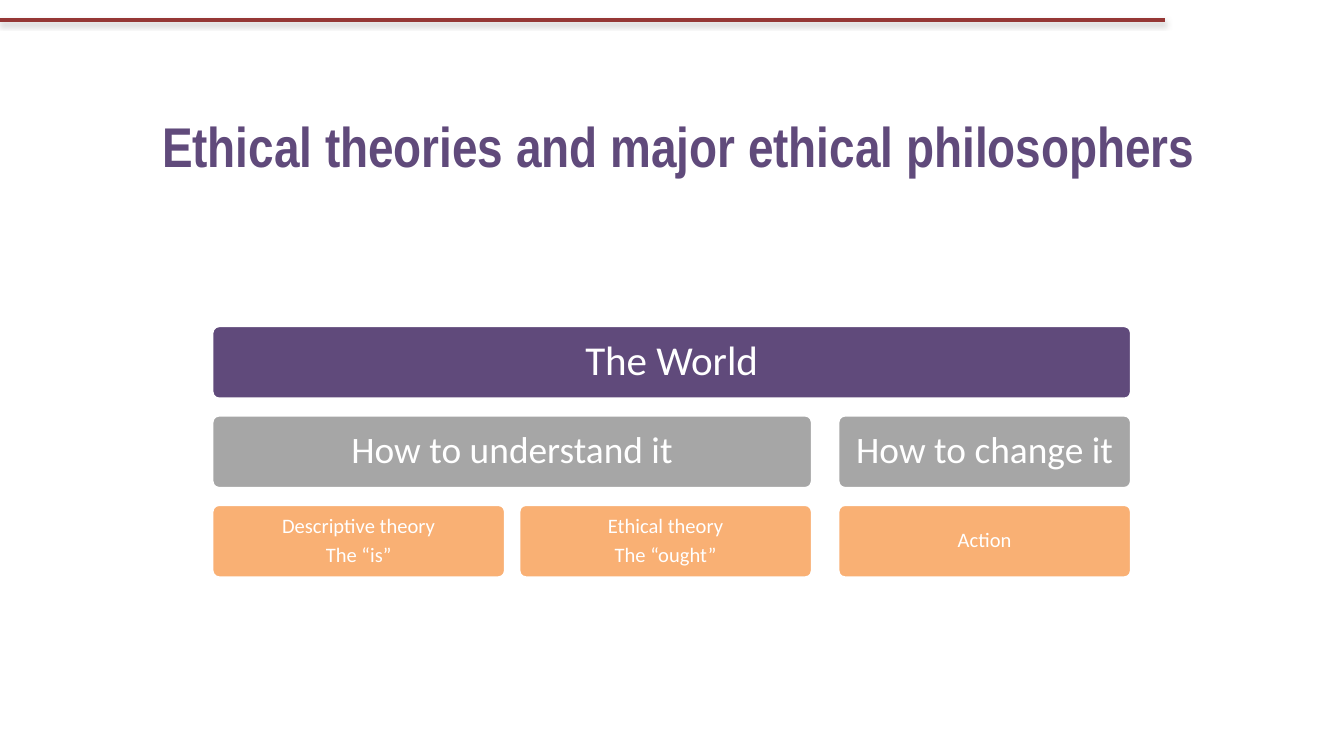
from dataclasses import dataclass

from lxml.etree import SubElement
from pptx import Presentation
from pptx.dml.color import RGBColor as RGB
from pptx.enum.shapes import MSO_CONNECTOR as Link, MSO_SHAPE as Shape
from pptx.enum.text import MSO_ANCHOR as Anchor, MSO_AUTO_SIZE as Fit, PP_ALIGN as Align
from pptx.oxml.ns import qn
from pptx.util import Cm, Pt


@dataclass(frozen=True)
class Tier:
    fill: RGB
    size: int
    pad: float


@dataclass(frozen=True)
class Theme:
    plum: RGB = RGB(0x60, 0x4A, 0x7B)
    grey: RGB = RGB(0xA6, 0xA6, 0xA6)
    peach: RGB = RGB(0xF9, 0xB0, 0x74)
    brick: RGB = RGB(0x95, 0x37, 0x35)
    white: RGB = RGB(0xFF, 0xFF, 0xFF)
    head: str = "Arial Narrow"
    body: str = "Calibri"
    title: int = 30
    big: int = 22
    mid: int = 20
    small: int = 11


THEME = Theme()
TIERS = (
    Tier(THEME.plum, THEME.big, 0.23),
    Tier(THEME.grey, THEME.mid, 0.2),
    Tier(THEME.peach, THEME.small, 0.13),
)

# Grid in cm: two columns under one branch, then a wider gap to the third
LEFT, TOP = 4, 6.15
WIDTH, HEIGHT = 5.56, 1.4
STEP = 1.69
GAP, SPLIT = 0.24, 0.47
COLS = (LEFT, LEFT + WIDTH + GAP, LEFT + 2 * WIDTH + GAP + SPLIT)

# Tier, first column, last column, lines of text
BOXES = (
    (0, 0, 2, ["The World"]),
    (1, 0, 1, ["How to understand it"]),
    (2, 0, 0, ["Descriptive theory", "The “is”"]),
    (2, 1, 1, ["Ethical theory", "The “ought”"]),
    (1, 2, 2, ["How to change it"]),
    (2, 2, 2, ["Action"]),
)


def add_run(para, text, font, size, color, bold=False):
    run = para.add_run()
    run.text = text
    run.font.name = font
    run.font.size = Pt(size)
    run.font.color.rgb = color
    run.font.bold = bold


def set_frame(frame, side, edge):
    """Centre the text in its frame, with side and edge margins in cm."""
    frame.word_wrap = True
    frame.auto_size = Fit.NONE
    frame.vertical_anchor = Anchor.MIDDLE
    frame.margin_left = frame.margin_right = Cm(side)
    frame.margin_top = frame.margin_bottom = Cm(edge)


def add_title(slide, text):
    title = slide.shapes.title
    title.left, title.top = Cm(2), Cm(1.35)
    title.width, title.height = Cm(21.9), Cm(2.77)
    frame = title.text_frame
    set_frame(frame, 0.2, 0.1)
    para = frame.paragraphs[0]
    para.alignment = Align.CENTER
    add_run(para, text, THEME.head, THEME.title, THEME.plum, True)


def add_rule(slide):
    """Draw the top rule with a soft shadow below it."""
    y = Cm(0.38)
    rule = slide.shapes.add_connector(Link.STRAIGHT, 0, y, Cm(22.02), y)
    rule.line.color.rgb = THEME.brick
    rule.line.width = Pt(2)
    effect = SubElement(rule.line._get_or_add_ln().getparent(), qn("a:effectLst"))
    shade = SubElement(effect, qn("a:outerShdw"), blurRad=str(Pt(3.1)),
                       dist=str(Pt(1.6)), dir="5400000", rotWithShape="0")
    color = SubElement(shade, qn("a:srgbClr"), val="808080")
    SubElement(color, qn("a:alpha"), val="38000")


def add_box(slide, row, first, last, lines):
    tier = TIERS[row]
    left = COLS[first]
    width = COLS[last] + WIDTH - left
    box = slide.shapes.add_shape(Shape.ROUNDED_RECTANGLE, Cm(left),
                                 Cm(TOP + row * STEP), Cm(width), Cm(HEIGHT))
    box.adjustments[0] = 0.1
    box.shadow.inherit = False
    box.fill.solid()
    box.fill.fore_color.rgb = tier.fill
    box.line.color.rgb = THEME.white
    box.line.width = Pt(2)
    frame = box.text_frame
    set_frame(frame, tier.pad, tier.pad)
    for i, text in enumerate(lines):
        para = frame.add_paragraph() if i else frame.paragraphs[0]
        para.alignment = Align.CENTER
        para.line_spacing = 0.9
        para.space_after = Pt(0.35 * tier.size)
        add_run(para, text, THEME.body, tier.size, THEME.white)


def main():
    deck = Presentation()
    deck.slide_width, deck.slide_height = Cm(25.4), Cm(14.29)
    slide = deck.slides.add_slide(deck.slide_layouts.get_by_name("Title Only"))
    add_rule(slide)
    add_title(slide, "Ethical theories and major ethical philosophers ")
    for box in BOXES:
        add_box(slide, *box)
    deck.save("out.pptx")


if __name__ == "__main__":
    main()
